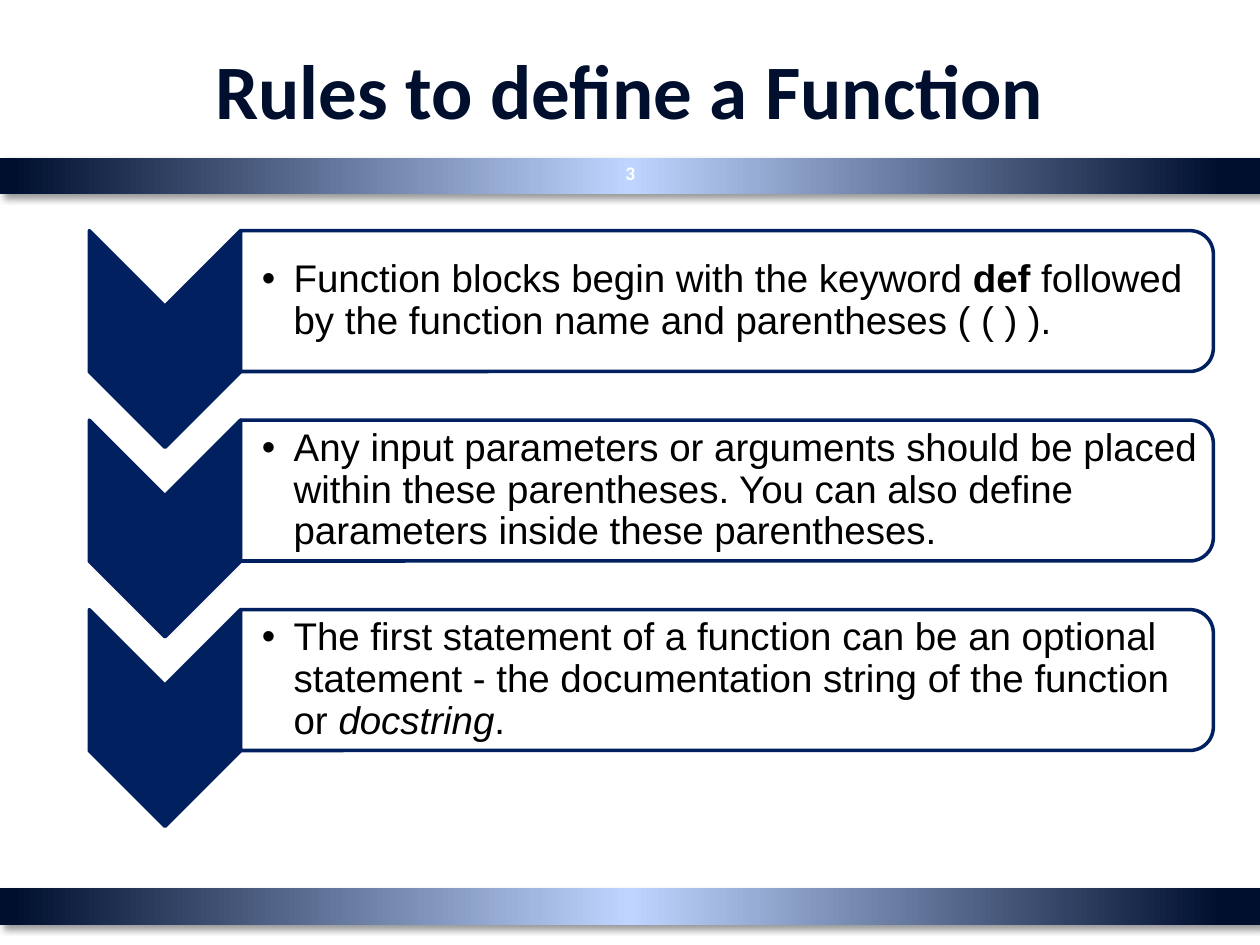
"""Build the slide that lists the rules to define a function."""
from dataclasses import dataclass

from pptx import Presentation
from pptx.dml.color import RGBColor
from pptx.enum.shapes import MSO_SHAPE as Preset
from pptx.enum.text import MSO_ANCHOR as Anchor, MSO_AUTO_SIZE as AutoSize, PP_ALIGN as Align
from pptx.oxml import parse_xml
from pptx.oxml.ns import nsdecls, qn
from pptx.util import Cm, Pt

NAVY, DARK, PALE, WHITE, BLACK = "002060", "000F2E", "BFD5FF", "FFFFFF", "000000"
SLIDE_WIDTH, SLIDE_HEIGHT = 25.4, 19.05
BAND_TOPS, BAND_HEIGHT = (17.91, 3.18), 0.74
FIRST_TOP, PITCH = 4.65, 3.82
CHEVRON_LEFT, CHEVRON_WIDTH, CHEVRON_HEIGHT = 1.8, 3.05, 4.37
PANEL_LEFT, PANEL_WIDTH, PANEL_HEIGHT = 4.85, 19.61, 2.84
RULE_WIDTH, RULE_HEIGHT = 19.48, 2.57


@dataclass(frozen=True)
class Phrase:
    """A stretch of words in one style."""
    words: str
    bold: bool = False
    italic: bool = False


RULES = (
    (Phrase("Function blocks begin with the keyword "), Phrase("def", bold=True),
     Phrase(" followed by the function name and parentheses ( ( ) ).")),
    (Phrase("Any input parameters or arguments should be placed within these parentheses. "
            "You can also define parameters inside these parentheses."),),
    (Phrase("The first statement of a function can be an optional statement - "
            "the documentation string of the function or "),
     Phrase("docstring", italic=True), Phrase(".")),
)


def colour(value: str) -> RGBColor:
    """Turn a hex string into a colour."""
    return RGBColor.from_string(value)


def place(shape, left: float, top: float, width: float, height: float) -> None:
    """Set position and size in centimetres."""
    shape.left, shape.top, shape.width, shape.height = map(Cm, (left, top, width, height))


def write(paragraph, phrase: Phrase, size: float, font: str, ink: str) -> None:
    """Add one formatted run."""
    run = paragraph.add_run()
    run.text = phrase.words
    run.font.name, run.font.size = font, Pt(size)
    run.font.bold, run.font.italic = phrase.bold, phrase.italic
    run.font.color.rgb = colour(ink)


def write_centred(frame, words: str, size: float, ink: str) -> None:
    """Fill a frame with one bold centred line."""
    frame.word_wrap, frame.auto_size = True, AutoSize.NONE
    frame.vertical_anchor = Anchor.MIDDLE
    frame.paragraphs[0].alignment = Align.CENTER
    write(frame.paragraphs[0], Phrase(words, bold=True), size, "Calibri", ink)


def add_band(slide, top: float) -> None:
    """Draw a full-width gradient band with a soft shadow."""
    band = slide.shapes.add_shape(Preset.RECTANGLE, 0, Cm(top), Cm(SLIDE_WIDTH), Cm(BAND_HEIGHT))
    band.line.fill.background()
    stops = "".join(
        f'<a:gs pos="{percent * 1000}"><a:srgbClr val="{tint}"/></a:gs>'
        for percent, tint in ((0, DARK), (3, DARK), (50, PALE), (99, DARK), (100, DARK)))
    gradient = parse_xml(f'<a:gradFill {nsdecls("a")}><a:gsLst>{stops}</a:gsLst>'
                         '<a:lin ang="10800000" scaled="0"/></a:gradFill>')
    shadow = parse_xml(
        f'<a:effectLst {nsdecls("a")}><a:outerShdw blurRad="{Pt(4)}" dist="{Pt(3)}" dir="2700000">'
        f'<a:srgbClr val="{BLACK}"><a:alpha val="40000"/></a:srgbClr></a:outerShdw></a:effectLst>')
    properties = band.element.spPr
    properties.find(qn("a:prstGeom")).addnext(gradient)
    properties.append(shadow)


def add_turned(slide, preset, left: float, top: float, width: float, height: float, fill: str):
    """Draw a shape turned by 90 degrees inside the given visible frame."""
    shift = (width - height) / 2
    shape = slide.shapes.add_shape(
        preset, Cm(left + shift), Cm(top - shift), Cm(height), Cm(width))
    shape.rotation = 90
    shape.shadow.inherit = False
    shape.fill.solid()
    shape.fill.fore_color.rgb = colour(fill)
    shape.line.color.rgb, shape.line.width = colour(NAVY), Pt(2)
    return shape


def add_rule(slide, body, top: float, phrases: tuple[Phrase, ...]) -> None:
    """Draw a chevron and a panel, with the rule in front."""
    add_turned(slide, Preset.CHEVRON, CHEVRON_LEFT, top, CHEVRON_WIDTH, CHEVRON_HEIGHT, NAVY)
    panel = add_turned(slide, Preset.ROUND_2_SAME_RECTANGLE,
                       PANEL_LEFT, top, PANEL_WIDTH, PANEL_HEIGHT, WHITE)
    panel_tint = panel.element.spPr.find(qn("a:solidFill")).find(qn("a:srgbClr"))
    panel_tint.append(parse_xml(f'<a:alpha {nsdecls("a")} val="90000"/>'))

    slide.shapes.element.append(body.element)
    place(body, PANEL_LEFT, top + (PANEL_HEIGHT - RULE_HEIGHT) / 2, RULE_WIDTH, RULE_HEIGHT)
    frame = body.text_frame
    frame.word_wrap, frame.auto_size = True, AutoSize.NONE
    frame.vertical_anchor = Anchor.MIDDLE
    frame.margin_left = Cm(0.43)
    frame.margin_top = frame.margin_right = frame.margin_bottom = Cm(0.05)
    rule = frame.paragraphs[0]
    rule.level, rule.alignment, rule.line_spacing = 1, Align.LEFT, 0.9
    rule.space_before, rule.space_after = Pt(0), Pt(3.3)
    settings = rule._p.get_or_add_pPr()
    settings.set("marL", str(Cm(0.64)))
    settings.set("indent", str(-Cm(0.64)))
    for bullet in (f'<a:buClr {nsdecls("a")}><a:srgbClr val="{BLACK}"/></a:buClr>',
                   f'<a:buFont {nsdecls("a")} typeface="Arial"/>',
                   f'<a:buChar {nsdecls("a")} char="•"/>'):
        settings.append(parse_xml(bullet))
    for phrase in phrases:
        write(rule, phrase, 22, "Arial", BLACK)


def main() -> None:
    """Build and save the slide."""
    deck = Presentation()
    deck.slide_width, deck.slide_height = Cm(SLIDE_WIDTH), Cm(SLIDE_HEIGHT)
    slide = deck.slides.add_slide(deck.slide_layouts.get_by_name("Comparison"))
    title, *bodies = slide.placeholders
    for spare in bodies[len(RULES):]:
        spare.element.getparent().remove(spare.element)

    for top in BAND_TOPS:
        add_band(slide, top)
    place(title, 1.27, 0.2, 22.86, 3.18)
    write_centred(title.text_frame, "Rules to define a Function", 44, DARK)
    number = slide.shapes.add_textbox(Cm(12.17), Cm(2.97), Cm(1.07), Cm(1.02))
    write_centred(number.text_frame, "3", 11, WHITE)
    for index, (body, phrases) in enumerate(zip(bodies, RULES)):
        add_rule(slide, body, FIRST_TOP + index * PITCH, phrases)
    deck.save("out.pptx")


if __name__ == "__main__":
    main()
